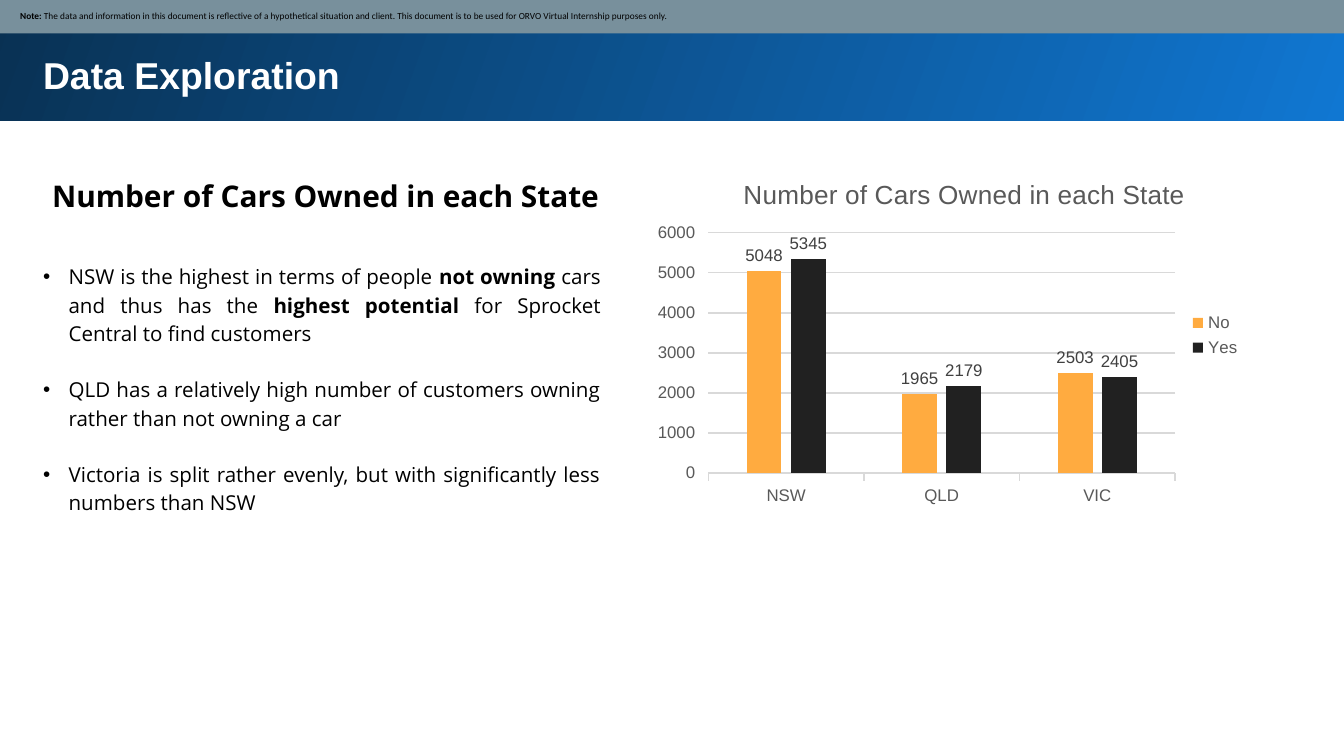
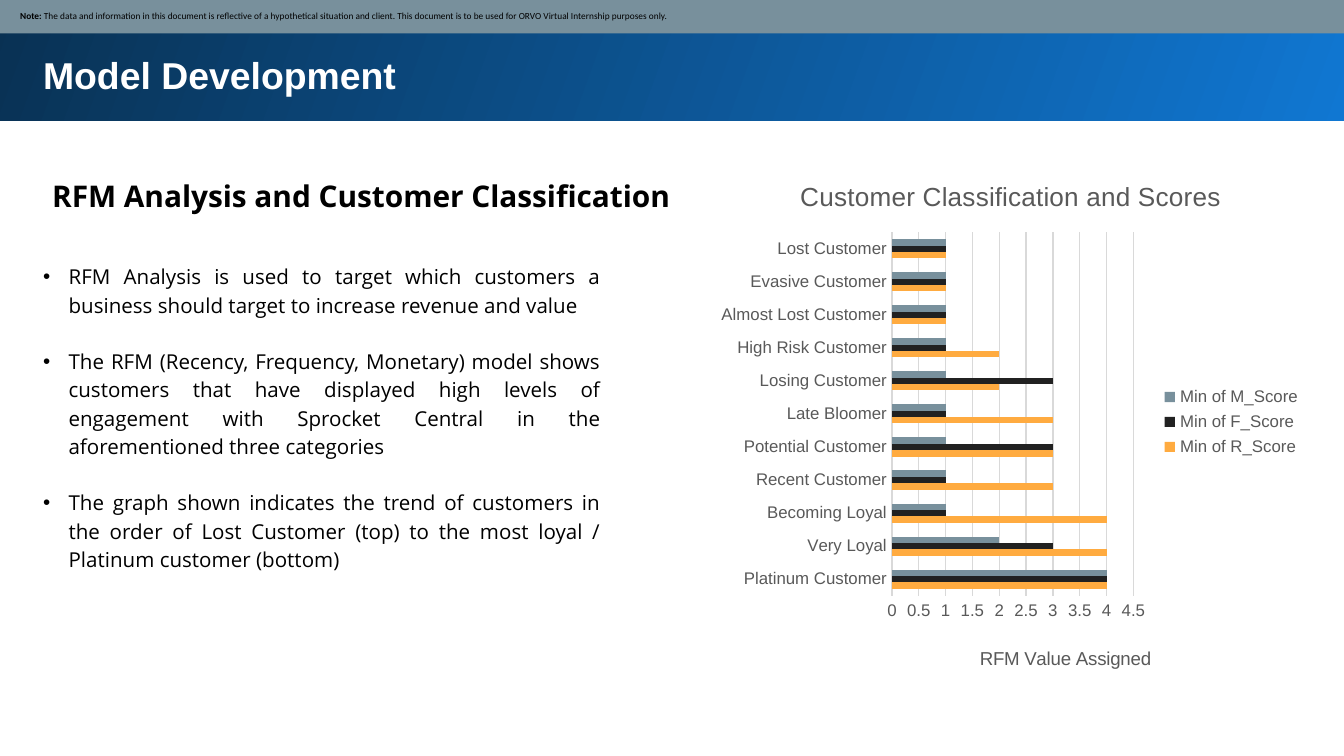
from dataclasses import dataclass

from pptx import Presentation
from pptx.chart.data import CategoryChartData
from pptx.dml.color import RGBColor
from pptx.enum.chart import XL_CHART_TYPE as ChartType
from pptx.enum.chart import XL_LABEL_POSITION as LabelPosition
from pptx.enum.chart import XL_LEGEND_POSITION as LegendPosition
from pptx.enum.chart import XL_TICK_MARK as TickMark
from pptx.enum.shapes import MSO_SHAPE as Preset
from pptx.enum.text import MSO_ANCHOR as Anchor
from pptx.enum.text import MSO_AUTO_SIZE as AutoSize
from pptx.enum.text import PP_ALIGN as Align
from pptx.oxml import parse_xml
from pptx.oxml.ns import nsdecls, qn
from pptx.util import Inches, Pt


@dataclass(frozen=True)
class Theme:
    # Colours
    black: str = "000000"
    white: str = "FFFFFF"
    blue: str = "1077D2"
    navy: str = "093153"
    slate: str = "78909C"
    orange: str = "FFAB40"
    charcoal: str = "212121"
    axis_text: str = "595959"
    label_text: str = "404040"
    rule: str = "D9D9D9"
    # Fonts
    title_font: str = "Arial"
    body_font: str = "Open Sans"
    note_font: str = "Calibri"
    # Type sizes in points
    title: float = 20
    heading: float = 16
    body: float = 11
    note: float = 5
    chart_title: float = 14
    axis_title: float = 10
    chart_text: float = 9
    # Spacing
    line_spacing: float = 1.15
    bullet_gap: float = 15


THEME = Theme()
NOTE = ("**Note:** The data and information in this document is reflective of a "
        "hypothetical situation and client. This document is to be used for "
        "ORVO Virtual Internship purposes only.")


# Helpers
def color(value):
    return RGBColor.from_string(value)


def style_font(font, name, size, value, bold=False):
    font.name, font.size, font.bold = name, Pt(size), bold
    font.color.rgb = color(value)


def write(paragraph, text, name, size, value, bold=False):
    """Fill a paragraph; words between double asterisks are bold."""
    for index, piece in enumerate(text.split("**")):
        if piece:
            run = paragraph.add_run()
            run.text = piece
            style_font(run.font, name, size, value, bold or index % 2 == 1)


def place(shape, box):
    shape.left, shape.top, shape.width, shape.height = map(Inches, box)


def set_up_frame(frame, inset=0.1, anchor=Anchor.TOP):
    frame.word_wrap = True
    frame.auto_size = AutoSize.NONE
    frame.vertical_anchor = anchor
    frame.margin_left = frame.margin_right = Inches(inset)
    frame.margin_top = frame.margin_bottom = Inches(inset)


def add_bar(slide, box):
    bar = slide.shapes.add_shape(Preset.RECTANGLE, *map(Inches, box))
    bar.shadow.inherit = False
    bar.line.fill.background()
    return bar


# Regions of a slide
def add_title_band(slide, box, title):
    band = add_bar(slide, box)
    band.fill.gradient()
    band.fill.gradient_angle = 160
    for stop, value in zip(band.fill.gradient_stops, (THEME.blue, THEME.navy)):
        stop.color.rgb = color(value)
    # The band lies behind the title placeholder
    tree = band._element.getparent()
    tree.remove(band._element)
    tree.insert(2, band._element)

    left, top, width, _ = box
    shape = slide.shapes.title
    place(shape, (left + 0.24, top + 0.31, width - 0.68, 0.51))
    set_up_frame(shape.text_frame)
    paragraph = shape.text_frame.paragraphs[0]
    paragraph.alignment = Align.LEFT
    write(paragraph, title, THEME.title_font, THEME.title, THEME.white, True)


def add_note_bar(slide, box):
    bar = add_bar(slide, box)
    bar.fill.solid()
    bar.fill.fore_color.rgb = color(THEME.slate)
    set_up_frame(bar.text_frame, 0.05, Anchor.MIDDLE)
    bar.text_frame.margin_left = Inches(0.16)
    paragraph = bar.text_frame.paragraphs[0]
    paragraph.alignment = Align.LEFT
    write(paragraph, NOTE, THEME.note_font, THEME.note, THEME.black)


def add_heading(slide, box, text):
    shape = slide.shapes.add_textbox(*map(Inches, box))
    set_up_frame(shape.text_frame)
    paragraph = shape.text_frame.paragraphs[0]
    paragraph.line_spacing = THEME.line_spacing
    write(paragraph, text, THEME.body_font, THEME.heading, THEME.black, True)


def add_bullets(slide, box, items):
    shape = slide.placeholders[1]
    place(shape, box)
    frame = shape.text_frame
    set_up_frame(frame)
    for index, item in enumerate(items):
        paragraph = frame.add_paragraph() if index else frame.paragraphs[0]
        paragraph.alignment = Align.JUSTIFY
        paragraph.line_spacing = THEME.line_spacing
        paragraph.space_before = Pt(0)
        paragraph.space_after = Pt(THEME.bullet_gap)
        properties = paragraph._p.get_or_add_pPr()
        properties.set("marL", str(Inches(0.19)))
        properties.set("indent", str(-Inches(0.19)))
        properties.append(parse_xml(f'<a:buChar {nsdecls("a")} char="•"/>'))
        write(paragraph, item, THEME.body_font, THEME.body, THEME.black)


# Chart parts
def layout_element(values, inner=False):
    """Manual layout from fractions of the chart: x, y and maybe w, h."""
    target = '<c:layoutTarget val="inner"/>' if inner else ""
    names = "xywh"[:len(values)]
    modes = "".join(f'<c:{name}Mode val="edge"/>' for name in names[:2])
    sizes = "".join(f'<c:{name} val="{value}"/>' for name, value in zip(names, values))
    return parse_xml(f'<c:layout {nsdecls("c")}><c:manualLayout>'
                     f'{target}{modes}{sizes}</c:manualLayout></c:layout>')


def drop_layout(element):
    for layout in element.findall(qn("c:layout")):
        element.remove(layout)


def set_chart_text(title, text, size, position):
    paragraph = title.text_frame.paragraphs[0]
    write(paragraph, text, THEME.title_font, size, THEME.axis_text)
    element = title._element
    drop_layout(element)
    element.find(qn("c:tx")).addnext(layout_element(position))


def style_axis(axis, tick):
    style_font(axis.tick_labels.font, THEME.title_font, THEME.chart_text, THEME.axis_text)
    axis.major_tick_mark = tick
    axis.minor_tick_mark = TickMark.NONE


def add_bar_chart(slide, box, kind, title, title_at, plot_at, categories, series,
                  maximum, step, overlap=0, tick=TickMark.NONE, labels=False,
                  axis_title=None, axis_title_at=None):
    data = CategoryChartData()
    data.categories = categories
    for name, values, _ in series:
        data.add_series(name, values)
    chart = slide.shapes.add_chart(kind, *map(Inches, box), data).chart
    style_font(chart.font, THEME.title_font, THEME.axis_title, THEME.black)

    # Title, legend and plot area
    chart.has_title = True
    set_chart_text(chart.chart_title, title, THEME.chart_title, title_at)
    chart.has_legend = True
    chart.legend.position = LegendPosition.RIGHT
    chart.legend.include_in_layout = False
    style_font(chart.legend.font, THEME.title_font, THEME.chart_text, THEME.axis_text)
    plot_area = chart._chartSpace.find(".//" + qn("c:plotArea"))
    drop_layout(plot_area)
    plot_area.insert(0, layout_element(plot_at, inner=True))

    # Axes
    style_axis(chart.category_axis, tick)
    chart.category_axis.format.line.color.rgb = color(THEME.rule)
    chart.category_axis.format.line.width = Pt(0.75)
    value_axis = chart.value_axis
    style_axis(value_axis, tick)
    value_axis.minimum_scale, value_axis.maximum_scale = 0, maximum
    value_axis.major_unit = step
    value_axis.format.line.fill.background()
    value_axis.has_major_gridlines = True
    value_axis.major_gridlines.format.line.color.rgb = color(THEME.rule)
    value_axis.major_gridlines.format.line.width = Pt(0.75)
    if axis_title:
        set_chart_text(value_axis.axis_title, axis_title, THEME.axis_title, axis_title_at)

    # Bars
    plot = chart.plots[0]
    plot.vary_by_categories = False
    plot.gap_width, plot.overlap = 219, overlap
    for bars, (_, _, value) in zip(plot.series, series):
        bars.format.fill.solid()
        bars.format.fill.fore_color.rgb = color(value)
        bars.invert_if_negative = False
        if labels:
            bars.data_labels.show_value = True
            bars.data_labels.position = LabelPosition.OUTSIDE_END
            style_font(bars.data_labels.font, THEME.title_font, THEME.chart_text,
                       THEME.label_text)


def add_analysis_slide(presentation, title, heading, bullets, chart):
    slide = presentation.slides.add_slide(presentation.slide_layouts[1])
    add_title_band(slide, (-0.02, -0.02, 10.05, 0.92), title)
    add_note_bar(slide, (-0.01, -0.01, 10.03, 0.26))
    add_heading(slide, (0.29, 1.18, 5, 0.49), heading)
    add_bullets(slide, (0.22, 1.84, 4.35, 2.74), bullets)
    add_bar_chart(slide, **chart)


# Content
CARS_BULLETS = [
    "NSW is the highest in terms of people **not owning** cars and thus has the "
    "**highest potential **for Sprocket Central to find customers",
    "QLD has a relatively high number of customers owning rather than not owning a car",
    "Victoria is split rather evenly, but with significantly less numbers than NSW",
]
CARS_CHART = dict(
    box=(4.82, 1.18, 4.51, 2.63), kind=ChartType.COLUMN_CLUSTERED,
    title="Number of Cars Owned in each State", title_at=(0.15, 0.04),
    plot_at=(0.1, 0.21, 0.77, 0.68),
    categories=["NSW", "QLD", "VIC"],
    series=[("No", (5048, 1965, 2503), THEME.orange),
            ("Yes", (5345, 2179, 2405), THEME.charcoal)],
    maximum=6000, step=1000, overlap=-27, tick=TickMark.OUTSIDE, labels=True,
)
RFM_BULLETS = [
    "RFM Analysis is used to target which customers a business should target to "
    "increase revenue and value",
    "The RFM (Recency, Frequency, Monetary) model shows customers that have displayed "
    "high levels of engagement with Sprocket Central in the aforementioned three "
    "categories",
    "The graph shown indicates the trend of customers in the order of Lost Customer "
    "(top) to the most loyal / Platinum customer (bottom)",
]
RFM_CHART = dict(
    box=(5.29, 1.18, 4.49, 3.92), kind=ChartType.BAR_CLUSTERED,
    title="Customer Classification and Scores", title_at=(0.14, 0.03),
    plot_at=(0.3, 0.14, 0.4, 0.69),
    categories=["Platinum Customer", "Very Loyal", "Becoming Loyal", "Recent Customer",
                "Potential Customer", "Late Bloomer", "Losing Customer",
                "High Risk Customer", "Almost Lost Customer", "Evasive Customer",
                "Lost Customer"],
    series=[("Min of R_Score", (4, 4, 4, 3, 3, 3, 2, 2, 1, 1, 1), THEME.orange),
            ("Min of F_Score", (4, 3, 1, 1, 3, 1, 3, 1, 1, 1, 1), THEME.charcoal),
            ("Min of M_Score", (4, 2, 1, 1, 1, 1, 1, 1, 1, 1, 1), THEME.slate)],
    maximum=4.5, step=0.5,
    axis_title="RFM Value Assigned", axis_title_at=(0.44, 0.92),
)

presentation = Presentation()
presentation.slide_width = Inches(10)
presentation.slide_height = presentation.slide_width * 9 // 16
add_analysis_slide(presentation, "Data Exploration",
                   "Number of Cars Owned in each State", CARS_BULLETS, CARS_CHART)
add_analysis_slide(presentation, "Model Development",
                   "RFM Analysis and Customer Classification", RFM_BULLETS, RFM_CHART)
presentation.save("out.pptx")
